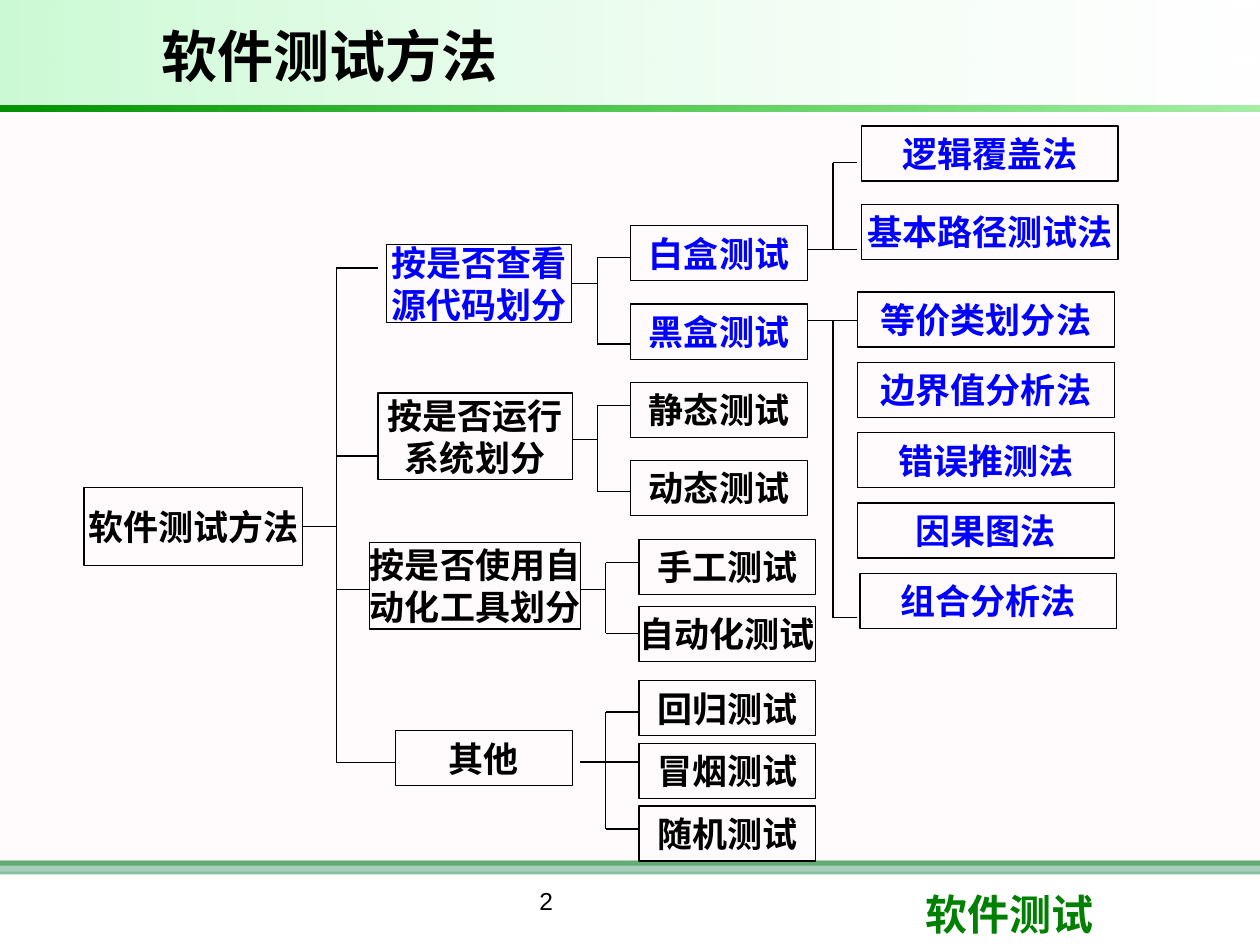
"""Build the slide that charts software testing methods as a tree."""
from dataclasses import dataclass

from lxml import etree
from pptx import Presentation, util as u
from pptx.dml.color import RGBColor
from pptx.enum import shapes, text
from pptx.oxml import ns

HUES = {
    "black": "000000", "blue": "0000FF", "green": "008000", "sea": "339966",
    "blush": "FFF0F5", "white": "FFFFFF", "mint": "09E733", "lime": "00CC00",
    "leaf": "009200",
}
MID, TOP = text.MSO_ANCHOR.MIDDLE, text.MSO_ANCHOR.TOP
LEFT, CENTER = text.PP_ALIGN.LEFT, text.PP_ALIGN.CENTER
LINE = 0.75


@dataclass
class Box:
    x: float
    y: float
    w: float
    h: float

    def place(self) -> list:
        return [u.Pt(n) for n in (self.x, self.y, self.w, self.h)]


@dataclass
class Band:
    box: Box
    stops: list


@dataclass
class Label:
    box: Box
    words: str
    size: float
    hue: str = "black"
    font: str = "Arial"
    bold: bool = True
    align: int = LEFT
    anchor: int = TOP


@dataclass
class Node:
    box: Box
    words: str
    hue: str = "black"


@dataclass
class Fork:
    stem: float
    level: float
    spine: float
    tips: list


def paint(color, hue: str) -> None:
    color.rgb = RGBColor.from_string(HUES[hue])


def write(frame, words: str, style: dict, hue: str, align: int) -> None:
    frame.text = words
    for para in frame.paragraphs:
        para.alignment = align
        for key, value in style.items():
            setattr(para.font, key, value)
        paint(para.font.color, hue)


def add_rect(slide, box: Box):
    rect = slide.shapes.add_shape(shapes.MSO_SHAPE.RECTANGLE, *box.place())
    rect.shadow.inherit = False
    return rect


def add_band(slide, band: Band) -> None:
    rect = add_rect(slide, band.box)
    rect.line.fill.background()
    if len(band.stops) == 1:
        rect.fill.solid()
        paint(rect.fill.fore_color, band.stops[0][0])
    else:
        rect.rotation = 180
        rect.fill.gradient()
        rect.fill.gradient_angle = 0
        for stop, (hue, _) in zip(rect.fill.gradient_stops, band.stops):
            paint(stop.color, hue)
    tints = rect.element.spPr.iter(ns.qn("a:srgbClr"))
    for tint, (_, alpha) in zip(tints, band.stops):
        etree.SubElement(tint, ns.qn("a:alpha"), val=str(alpha * 1000))


def add_label(slide, label: Label) -> None:
    frame = slide.shapes.add_textbox(*label.box.place()).text_frame
    frame.word_wrap = True
    frame.vertical_anchor = label.anchor
    style = {"size": u.Pt(label.size), "name": label.font, "bold": label.bold}
    write(frame, label.words, style, label.hue, label.align)


def add_node(slide, node: Node) -> None:
    rect = add_rect(slide, node.box)
    rect.fill.background()
    rect.line.width = u.Pt(LINE)
    paint(rect.line.color, "black")
    frame = rect.text_frame
    frame.word_wrap = False
    frame.vertical_anchor = MID
    style = {"size": u.Pt(20), "name": "Arial", "bold": True}
    write(frame, node.words, style, node.hue, CENTER)


def add_line(slide, *ends: float) -> None:
    line = slide.shapes.add_connector(
        shapes.MSO_CONNECTOR.STRAIGHT, *[u.Pt(n) for n in ends])
    line.line.width = u.Pt(LINE)
    paint(line.line.color, "black")
    etree.SubElement(line.element.spPr, ns.qn("a:effectLst"))


def add_fork(slide, fork: Fork) -> None:
    rows = [y for _, y in fork.tips]
    add_line(slide, fork.spine, min(rows), fork.spine, max(rows))
    add_line(slide, fork.stem, fork.level, fork.spine, fork.level)
    for x, y in fork.tips:
        add_line(slide, fork.spine, y, x, y)


def column(x: float, w: float, hue: str, tops: dict) -> list:
    return [Node(Box(x, y, w, 31.5), words, hue) for words, y in tops.items()]


def ends(x: float, *rows: float) -> list:
    return [(x, y) for y in rows]


BANDS = [
    Band(Box(0, 491.8, 720, 2.9), [("green", 100)]),
    Band(Box(0, 491.8, 720, 7.9), [("sea", 60)]),
    Band(Box(0, 66.2, 720, 432), [("blush", 30)]),
    Band(Box(0, 0, 719.3, 60), [("white", 10), ("mint", 21)]),
    Band(Box(0, 60, 720, 3.6), [("lime", 35), ("leaf", 100)]),
]
LABELS = [
    Label(Box(522, 504, 170.6, 36), "软件测试", 24, "green", "Calibri"),
    Label(Box(85, 5.8, 501.8, 51), "软件测试方法", 32, anchor=MID),
    Label(Box(198, 502.6, 228.2, 37.4), "2", 14, bold=False, align=CENTER),
]
CASES = ["等价类划分法", "边界值分析法", "错误推测法", "因果图法"]
NODES = [
    Node(Box(48, 278.5, 125, 44.8), "软件测试方法"),
    Node(Box(221, 139.7, 105.8, 44.8), "按是否查看\n源代码划分", "blue"),
    Node(Box(216, 224.6, 111, 49.4), "按是否运行\n系统划分"),
    Node(Box(211.3, 310, 120.5, 49.4), "按是否使用自\n动化工具划分"),
    *column(226, 101, "black", {"其他": 417.4}),
    *column(360.4, 101, "blue", {"白盒测试": 129, "黑盒测试": 173.8}),
    *column(360.4, 101, "black", {"静态测试": 218.4, "动态测试": 263}),
    *column(365.2, 101, "black", {
        "手工测试": 308.2, "自动化测试": 346.5, "回归测试": 389,
        "冒烟测试": 424.8, "随机测试": 460.6}),
    *column(492.5, 146.5, "blue", {"逻辑覆盖法": 72, "基本路径测试法": 116.8}),
    *column(490, 146.8, "blue",
            {name: 166.8 + 40.2 * i for i, name in enumerate(CASES)}),
    *column(491.5, 146.5, "blue", {"组合分析法": 327.6}),
]
FORKS = [
    Fork(172.8, 301, 192.2,
         [(216, 153.2), (216, 260.6), (211.3, 337), (226, 435.6)]),
    Fork(327, 162, 341.3, ends(360.4, 147, 196.5)),
    Fork(327, 251.3, 341.3, ends(360.4, 231.8, 280.8)),
    Fork(331.5, 337, 346.2, ends(365.2, 321.6, 362)),
    Fork(331.5, 435.4, 346.2, ends(365.2, 406.8, 435.4, 473.8)),
    Fork(461.5, 142.6, 476, ends(490, 93, 142.6)),
    Fork(461.5, 183, 476, ends(490, 183, 353)),
]


def main() -> None:
    deck = Presentation()
    deck.slide_width, deck.slide_height = u.Pt(720), u.Pt(540)
    slide = deck.slides.add_slide(deck.slide_layouts[6])
    for draw, items in ((add_band, BANDS), (add_label, LABELS),
                        (add_node, NODES), (add_fork, FORKS)):
        for item in items:
            draw(slide, item)
    deck.save("out.pptx")


if __name__ == "__main__":
    main()
